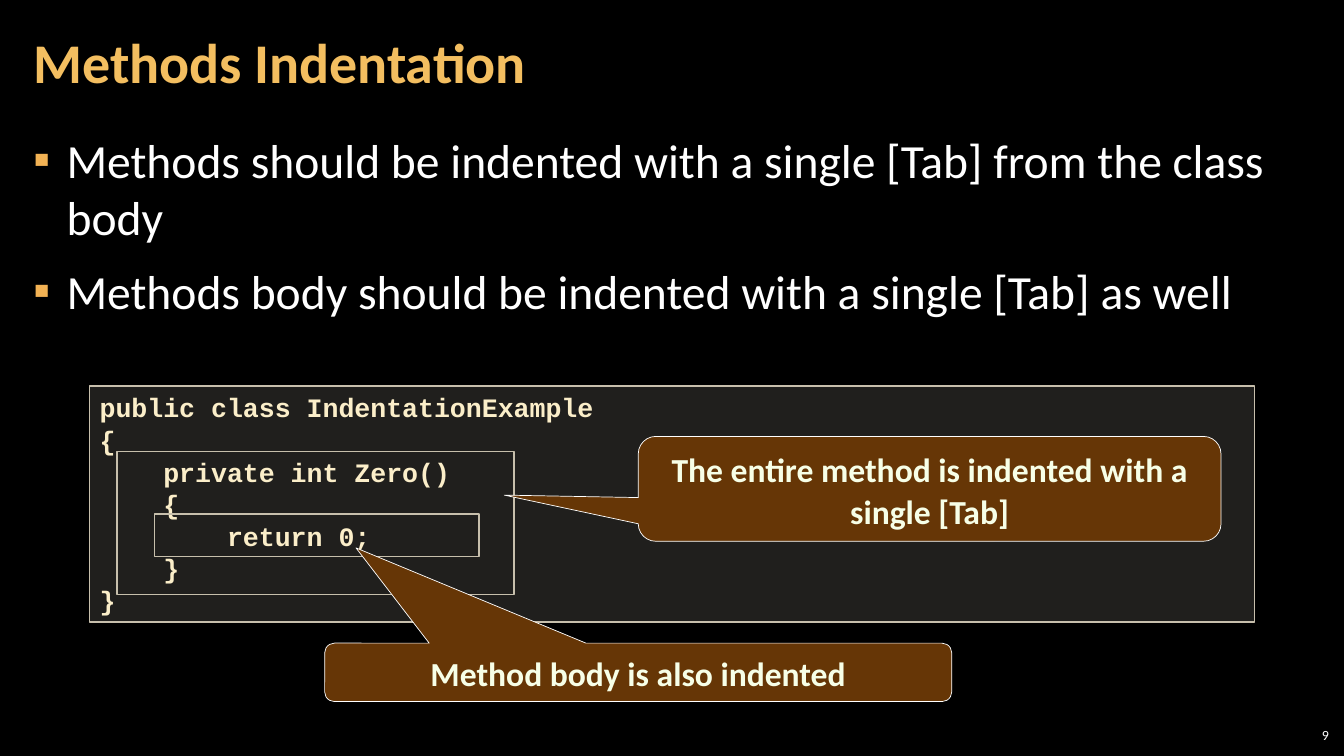
import dataclasses

import lxml.etree
import pptx
import pptx.dml.color
import pptx.enum.shapes
import pptx.enum.text
import pptx.oxml.ns
import pptx.util

ALIGN = pptx.enum.text.PP_ALIGN
ANCHOR = pptx.enum.text.MSO_ANCHOR
SHAPE = pptx.enum.shapes.MSO_SHAPE
SLIDE_WIDTH = pptx.util.Inches(13.33)
SLIDE_HEIGHT = pptx.util.Inches(7.5)


@dataclasses.dataclass(frozen=True)
class TextStyle:
    size: int
    color: str
    bold: bool = False
    font: str = "Calibri"


@dataclasses.dataclass(frozen=True)
class Theme:
    background: str = "000000"
    bullet: str = "F2B254"
    code_fill: str = "D9D5C7"
    code_opacity: int = 15
    frame_line: str = "C7BFAC"
    callout_fill: str = "663606"
    callout_line: str = "FFFFFF"
    title: TextStyle = TextStyle(40, "F3BE60", True)
    body: TextStyle = TextStyle(34, "FFFFFF")
    code: TextStyle = TextStyle(19, "FBEEC9", True, "Courier New")
    callout: TextStyle = TextStyle(24, "F7FFE7", True)
    number: TextStyle = TextStyle(10, "FFFFFF")


THEME = Theme()

BULLETS = [
    "Methods should be indented with a single [Tab] from the class body",
    "Methods body should be indented with a single [Tab] as well",
]

CODE = """public class IndentationExample
{
    private int Zero()
    {
        return 0;
    }
}"""


def rgb(color):
    return pptx.dml.color.RGBColor.from_string(color)


def box(left, top, width, height):
    return (
        round(SLIDE_WIDTH * left / 100),
        round(SLIDE_HEIGHT * top / 100),
        round(SLIDE_WIDTH * width / 100),
        round(SLIDE_HEIGHT * height / 100),
    )


def add_element(parent, tag, **attributes):
    return lxml.etree.SubElement(parent, pptx.oxml.ns.qn(tag), **attributes)


def write(shape, text, style, anchor, align=ALIGN.LEFT, spacing=None, insets=(0.1, 0.05)):
    frame = shape.text_frame
    frame.text = text
    frame.word_wrap = True
    frame.auto_size = pptx.enum.text.MSO_AUTO_SIZE.NONE
    frame.vertical_anchor = anchor
    frame.margin_left = frame.margin_right = pptx.util.Inches(insets[0])
    frame.margin_top = frame.margin_bottom = pptx.util.Inches(insets[1])
    for paragraph in frame.paragraphs:
        paragraph.alignment = align
        paragraph.line_spacing = spacing
        for run in paragraph.runs:
            run.font.name = style.font
            run.font.size = pptx.util.Pt(style.size)
            run.font.bold = style.bold
            run.font.color.rgb = rgb(style.color)


def add_title(slide, text, area):
    title = slide.shapes.title
    title.left, title.top, title.width, title.height = area
    write(title, text, THEME.title, ANCHOR.MIDDLE, spacing=0.9, insets=(0.12, 0.04))


def add_bullets(slide, items, area):
    shape = slide.shapes.add_textbox(*area)
    write(shape, "\n".join(items), THEME.body, ANCHOR.TOP, insets=(0.12, 0.04))
    indent = pptx.util.Inches(0.33)
    for index, paragraph in enumerate(shape.text_frame.paragraphs):
        paragraph.space_before = pptx.util.Pt(6 if index else 0)
        paragraph.space_after = pptx.util.Pt(6)
        properties = paragraph._p.get_or_add_pPr()
        properties.set("marL", str(indent))
        properties.set("indent", str(-indent))
        color = add_element(properties, "a:buClr")
        add_element(color, "a:srgbClr", val=THEME.bullet)
        add_element(properties, "a:buFont", typeface="Calibri")
        add_element(properties, "a:buChar", char="▪")


def add_outlined(slide, kind, area, line, line_width):
    shape = slide.shapes.add_shape(kind, *area)
    shape.shadow.inherit = False
    shape.fill.background()
    shape.line.color.rgb = rgb(line)
    shape.line.width = pptx.util.Pt(line_width)
    return shape


def add_frame(slide, area):
    return add_outlined(slide, SHAPE.RECTANGLE, area, THEME.frame_line, 1)


def add_code(slide, code, area):
    shape = add_frame(slide, area)
    shape.fill.solid()
    shape.fill.fore_color.rgb = rgb(THEME.code_fill)
    color = shape._element.spPr.find(".//" + pptx.oxml.ns.qn("a:srgbClr"))
    add_element(color, "a:alpha", val=str(THEME.code_opacity * 1000))
    write(shape, code, THEME.code, ANCHOR.TOP, spacing=pptx.util.Pt(23))


def add_callout(slide, text, area, tip):
    shape = add_outlined(
        slide, SHAPE.ROUNDED_RECTANGULAR_CALLOUT, area, THEME.callout_line, 0.5
    )
    shape.fill.solid()
    shape.fill.fore_color.rgb = rgb(THEME.callout_fill)
    shape.adjustments[0], shape.adjustments[1] = tip
    write(shape, text, THEME.callout, ANCHOR.MIDDLE, ALIGN.CENTER, pptx.util.Pt(30))


def add_slide_number(slide, number, area):
    shape = slide.shapes.add_textbox(*area)
    write(shape, number, THEME.number, ANCHOR.MIDDLE, ALIGN.RIGHT, insets=(0.04, 0.04))


def main():
    presentation = pptx.Presentation()
    presentation.slide_width = SLIDE_WIDTH
    presentation.slide_height = SLIDE_HEIGHT
    slide = presentation.slides.add_slide(presentation.slide_layouts[5])
    slide.background.fill.solid()
    slide.background.fill.fore_color.rgb = rgb(THEME.background)

    add_title(slide, "Methods Indentation", box(1.58, 0.53, 78.54, 16.13))
    add_bullets(slide, BULLETS, box(1.58, 16.8, 96.85, 81.2))
    add_slide_number(slide, "9", box(94.15, 95.6, 5.03, 3.33))
    add_code(slide, CODE, box(6.68, 51.07, 86.65, 31.2))
    add_frame(slide, box(8.7, 59.73, 29.56, 18.93))
    add_callout(
        slide,
        "The entire method is indented with a single [Tab]",
        box(47.49, 57.73, 43.36, 13.87),
        (-0.73, 0.06),
    )
    add_frame(slide, box(11.48, 68, 24.16, 5.6))
    add_callout(
        slide,
        "Method body is also indented",
        box(24.16, 85.07, 46.66, 7.73),
        (-0.45, -2.13),
    )
    presentation.save("out.pptx")


if __name__ == "__main__":
    main()
